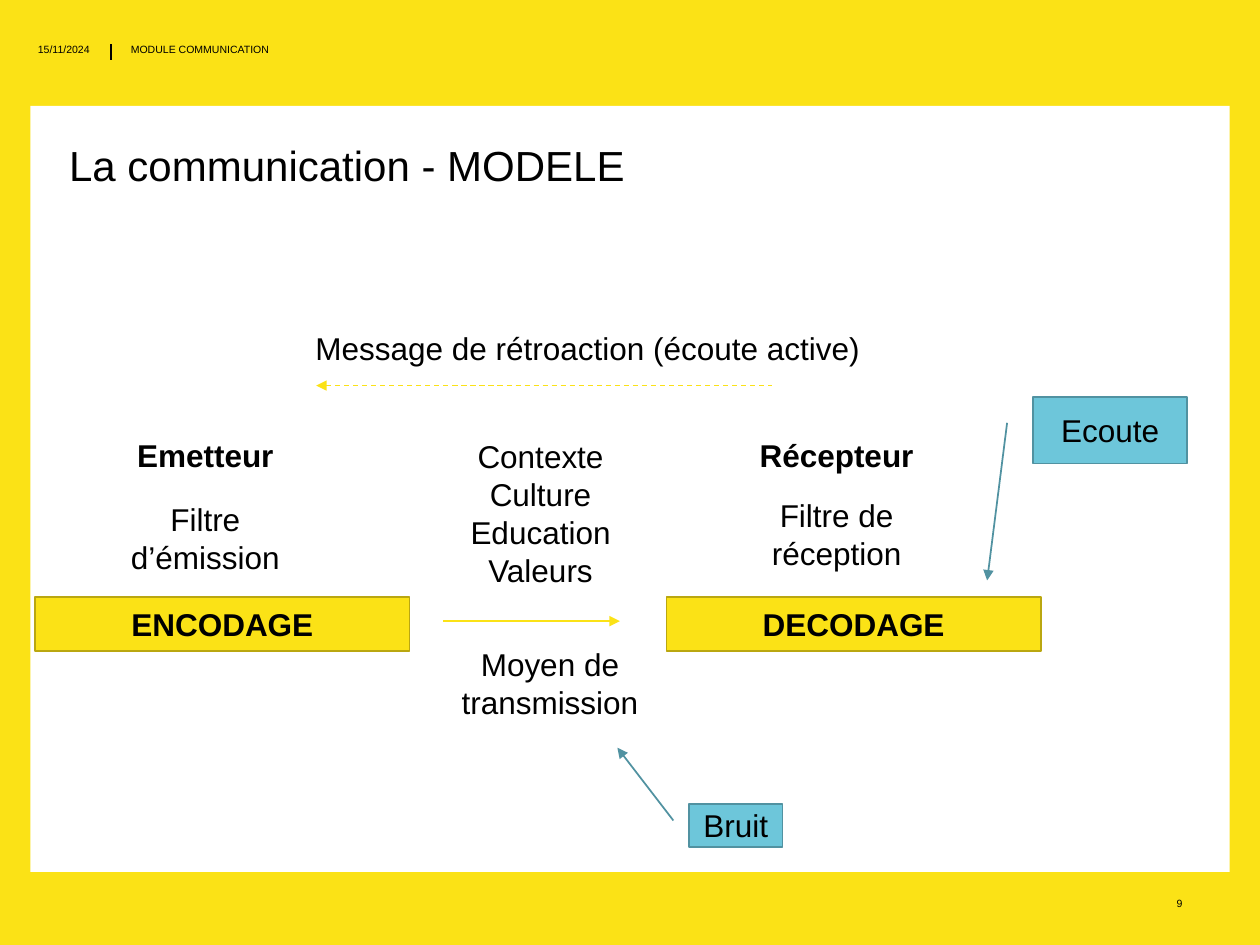
from pptx import Presentation
from pptx.dml.color import RGBColor
from pptx.enum.dml import MSO_LINE
from pptx.enum.shapes import MSO_CONNECTOR, MSO_SHAPE
from pptx.enum.text import MSO_ANCHOR, PP_ALIGN
from pptx.oxml.ns import qn
from pptx.util import Inches, Pt
from lxml.etree import SubElement

YELLOW, DARK_YELLOW = "FBE216", "BAA710"
BLUE, DARK_BLUE = "6DC6DA", "5192A1"
BLACK, WHITE = "000000", "FFFFFF"
LEFT, CENTER, RIGHT = PP_ALIGN.LEFT, PP_ALIGN.CENTER, PP_ALIGN.RIGHT


def color(value):
    return RGBColor.from_string(value)


def write(shape, text, size=18, align=CENTER, bold=False, anchor=MSO_ANCHOR.TOP, spacing=None):
    frame = shape.text_frame
    frame.text = text
    frame.word_wrap = True
    frame.vertical_anchor = anchor
    for paragraph in frame.paragraphs:
        paragraph.alignment = align
        paragraph.line_spacing = spacing
        paragraph.font.name = "Arial"
        paragraph.font.size = Pt(size)
        paragraph.font.bold = bold
        paragraph.font.color.rgb = color(BLACK)


def add_label(slide, box, text, **style):
    write(slide.shapes.add_textbox(*map(Inches, box)), text, **style)


def add_box(slide, box, fill, line=None, kind=MSO_SHAPE.RECTANGLE):
    shape = slide.shapes.add_shape(kind, *map(Inches, box))
    shape.shadow.inherit = False
    shape.fill.solid()
    shape.fill.fore_color.rgb = color(fill)
    if line:
        shape.line.color.rgb = color(line)
        shape.line.width = Pt(1)
    else:
        shape.line.fill.background()
    return shape


def add_arrowhead(shape, end):
    """Put a triangle at the "headEnd" (start) or "tailEnd" (finish) of a line."""
    SubElement(shape.line._get_or_add_ln(), qn(f"a:{end}"), type="triangle")


def add_line(slide, start, finish, line, width):
    connector = slide.shapes.add_connector(
        MSO_CONNECTOR.STRAIGHT, *map(Inches, start + finish))
    connector.line.color.rgb = color(line)
    connector.line.width = Pt(width)
    SubElement(connector._element.spPr, qn("a:effectLst"))
    return connector


def add_callout(slide, box, text, adjustments):
    """Adjustments: y and x of the arrow tip, then y and x of its start, as parts of the box."""
    callout = add_box(slide, box, BLUE, DARK_BLUE, MSO_SHAPE.LINE_CALLOUT_1)
    for index, value in enumerate(adjustments):
        callout.adjustments[index] = value
    add_arrowhead(callout, "headEnd")
    write(callout, text, anchor=MSO_ANCHOR.MIDDLE)


def add_page_frame(slide, width, height):
    add_box(slide, (0, 0, width, height), YELLOW)
    add_line(slide, (0.88, 0.35), (0.88, 0.48), BLACK, 1)
    add_box(slide, (0.24, 0.84, width - 0.48, 6.08), WHITE)
    add_label(slide, (0, 0.29, 0.81, 0.27), "15/11/2024", size=6, align=RIGHT)
    add_label(slide, (0.94, 0.29, 4.11, 0.27), "MODULE COMMUNICATION", size=6, align=LEFT)
    add_label(slide, (9.24, 7.07, 0.61, 0.27), "9", size=6, align=LEFT)


def add_actor(slide, left, name, filter_text, filter_box, coding):
    """Stack an actor's name, filter and coding bar; filter_box is its top and width."""
    bar_width = 2.97
    middle = left + bar_width / 2
    filter_top, filter_width = filter_box
    add_label(slide, (middle - 0.87, 3.41, 1.47, 0.4), name, bold=True)
    add_label(slide, (middle - 0.135 - filter_width / 2, filter_top, filter_width, 0.71),
              filter_text)
    bar = add_box(slide, (left, 4.74, bar_width, 0.43), YELLOW, DARK_YELLOW)
    write(bar, coding, bold=True, anchor=MSO_ANCHOR.MIDDLE)


def add_exchange(slide):
    add_label(slide, (2.11, 2.56, 5.11, 0.4), "Message de rétroaction (écoute active)")
    feedback = add_line(slide, (2.51, 3.06), (6.13, 3.06), YELLOW, 0.75)
    feedback.line.dash_style = MSO_LINE.DASH
    add_arrowhead(feedback, "headEnd")
    add_label(slide, (3.63, 3.42, 1.32, 1.31), "Contexte\nCulture\nEducation\nValeurs")
    message = add_line(slide, (3.52, 4.93), (4.92, 4.93), YELLOW, 1.5)
    add_arrowhead(message, "tailEnd")
    add_label(slide, (3.41, 5.07, 1.91, 0.71), "Moyen de transmission")


def main():
    presentation = Presentation()
    presentation.slide_width, presentation.slide_height = Inches(10), Inches(7.5)
    slide = presentation.slides.add_slide(presentation.slide_layouts[6])
    add_page_frame(slide, 10, 7.5)
    add_label(slide, (0.45, 1.1, 9.11, 0.8), "La communication - MODELE",
              size=24, align=LEFT, spacing=0.9)
    add_actor(slide, 0.28, "Emetteur", "Filtre d’émission", (3.92, 1.47), "ENCODAGE")
    add_actor(slide, 5.29, "Récepteur", "Filtre de réception", (3.89, 1.87), "DECODAGE")
    add_exchange(slide)
    add_callout(slide, (5.47, 6.38, 0.74, 0.34), "Bruit", (-1.31, -0.77, 0.39, -0.17))
    add_callout(slide, (8.2, 3.15, 1.22, 0.53), "Ecoute", (2.75, -0.3, 0.39, -0.17))
    presentation.save("out.pptx")


if __name__ == "__main__":
    main()
